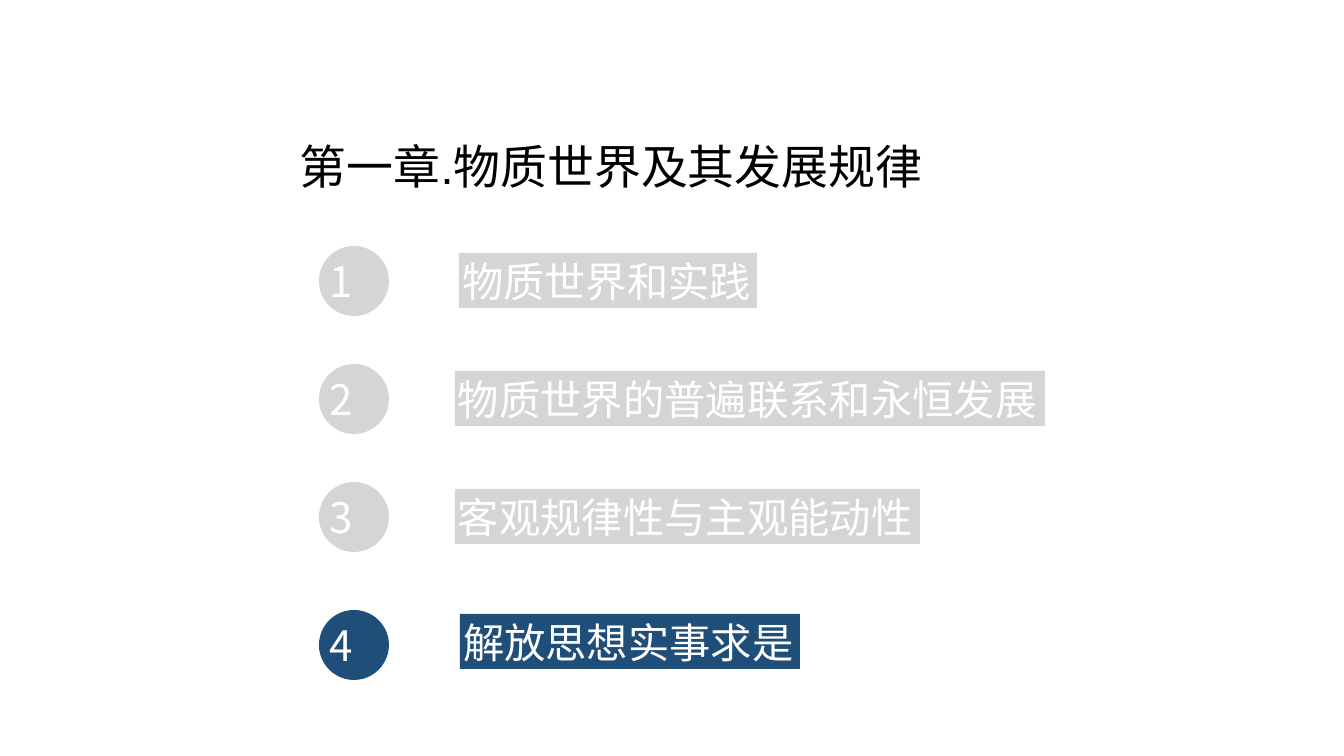
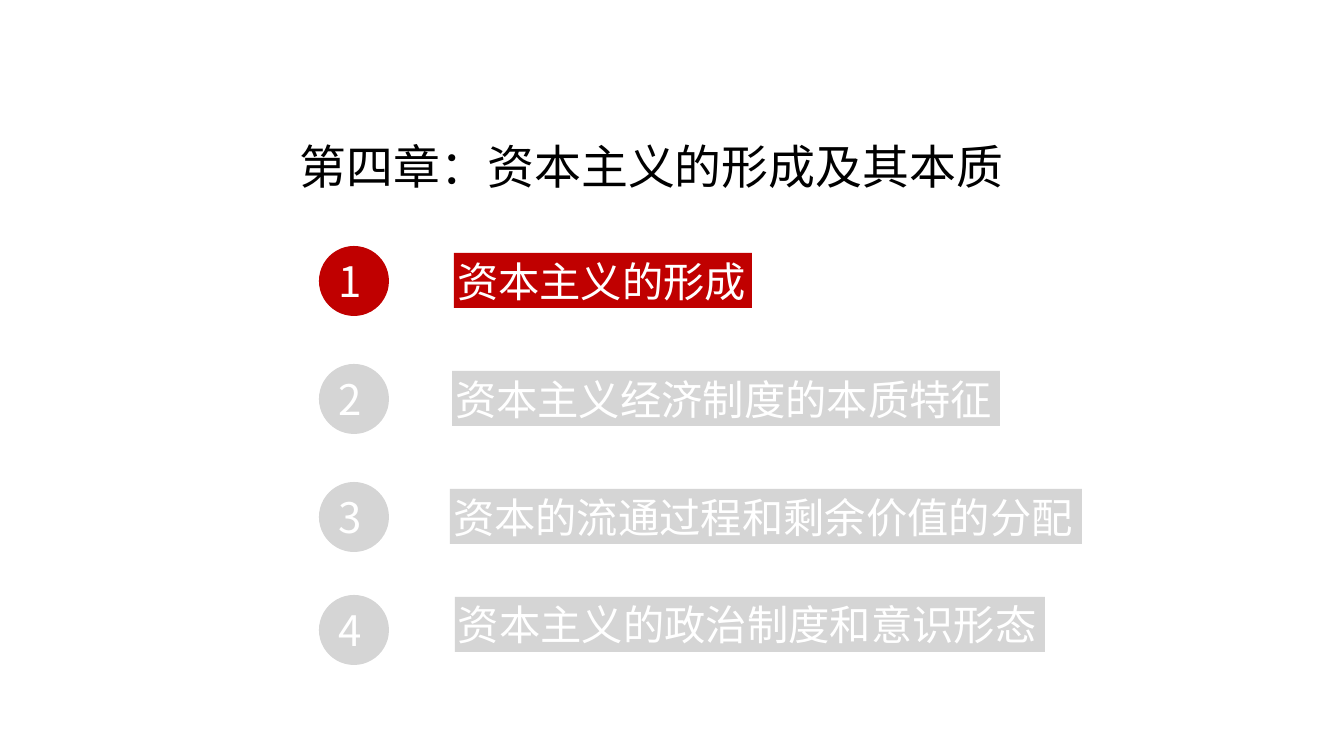
import pptx
import pptx.dml.color
import pptx.enum.shapes
import pptx.enum.text
import pptx.oxml.ns
import pptx.util

SCALE = 914400 / 100.8  # EMU in one px
COLORS = {"text": "000000", "reverse": "FFFFFF", "muted": "D5D5D5",
          "blue": "1F4E79", "red": "C00000"}
CJK_FONT = "Noto Sans CJK SC"
FORMATS = {
    "title": {"size": 33.5, "color": "text", "inset": 3, "spacing": 1.5},
    "label": {"size": 29.5, "color": "reverse", "inset": 3, "spacing": 1},
    "number": {"size": 30, "color": "reverse", "inset": 0, "spacing": 1},
}
SHAPES = pptx.enum.shapes.MSO_SHAPE
AUTO_SIZE = pptx.enum.text.MSO_AUTO_SIZE

CHAPTERS = [
    {
        "title": "第一章.物质世界及其发展规律",
        "title_width": 634,
        "title_font": "Arial",
        "accent": "blue",
        "current": 4,
        "number_indent": 0,
        # label text, circle top, label left, label drop below circle top
        "sections": [
            ("物质世界和实践", 246, 459, 7),
            ("物质世界的普遍联系和永恒发展", 364, 455, 7),
            ("客观规律性与主观能动性", 482, 455, 7),
            ("解放思想实事求是", 610, 460, 4),
        ],
    },
    {
        "title": "第四章：资本主义的形成及其本质",
        "title_width": 716,
        "title_font": CJK_FONT,
        "accent": "red",
        "current": 1,
        "number_indent": 9,
        "sections": [
            ("资本主义的形成", 246, 454, 7),
            ("资本主义经济制度的本质特征", 364, 452, 7),
            ("资本的流通过程和剩余价值的分配", 482, 450, 7),
            ("资本主义的政治制度和意识形态", 595, 455, 2),
        ],
    },
]


def px(length):
    return pptx.util.Emu(round(length * SCALE))


def rgb(name):
    return pptx.dml.color.RGBColor.from_string(COLORS[name])


class Deck:
    """Holds the presentation, its style and the slide being built."""

    def __init__(self):
        self.presentation = pptx.Presentation()
        self.presentation.slide_width = px(1344)
        self.presentation.slide_height = px(756)
        self.slide = None

    def add_slide(self):
        blank = self.presentation.slide_layouts[6]
        self.slide = self.presentation.slides.add_slide(blank)

    def set_text(self, holder, text, style, latin=CJK_FONT, indent=0, fit=AUTO_SIZE.NONE):
        """Put left-aligned, vertically centred text into a shape."""
        look = FORMATS[style]
        inset = px(look["inset"])
        frame = holder.text_frame
        frame_format = {
            "word_wrap": True,
            "auto_size": fit,
            "vertical_anchor": pptx.enum.text.MSO_ANCHOR.MIDDLE,
            "margin_left": px(look["inset"] + indent),
            "margin_top": inset,
            "margin_right": inset,
            "margin_bottom": inset,
        }
        paragraph = frame.paragraphs[0]
        paragraph_format = {"alignment": pptx.enum.text.PP_ALIGN.LEFT,
                            "line_spacing": look["spacing"]}
        run = paragraph.add_run()
        run.text = text
        font_format = {"name": latin, "size": pptx.util.Pt(look["size"])}
        for target, values in ((frame, frame_format), (paragraph, paragraph_format),
                               (run.font, font_format)):
            for key, value in values.items():
                setattr(target, key, value)
        run.font.color.rgb = rgb(look["color"])
        properties = run.font._element
        east_asian = properties.makeelement(
            pptx.oxml.ns.qn("a:ea"), {"typeface": CJK_FONT})
        properties.find(pptx.oxml.ns.qn("a:latin")).addnext(east_asian)

    def title(self, text, width, latin):
        heading = self.slide.shapes.add_textbox(px(297), px(111), px(width), px(82))
        self.set_text(heading, text, "title", latin, fit=AUTO_SIZE.SHAPE_TO_FIT_TEXT)

    def block(self, preset, left, top, width, height, fill):
        block = self.slide.shapes.add_shape(
            preset, px(left), px(top), px(width), px(height))
        block.shadow.inherit = False
        block.fill.solid()
        block.fill.fore_color.rgb = rgb(fill)
        block.line.fill.background()
        return block

    def number(self, number, top, fill, indent):
        circle = self.block(SHAPES.OVAL, 319, top, 70, 70, fill)
        self.set_text(circle, str(number), "number", indent=indent)

    def label(self, text, left, top, fill):
        """Add a filled label whose width follows its character count."""
        width = round(6 + 41.7 * len(text))
        band = self.block(SHAPES.RECTANGLE, left, top, width, 55, fill)
        self.set_text(band, text, "label")

    def chapter(self, chapter):
        self.add_slide()
        self.title(chapter["title"], chapter["title_width"], chapter["title_font"])
        for number, (text, top, left, drop) in enumerate(chapter["sections"], 1):
            fill = chapter["accent"] if number == chapter["current"] else "muted"
            self.number(number, top, fill, chapter["number_indent"])
            self.label(text, left, top + drop, fill)


def main():
    deck = Deck()
    for chapter in CHAPTERS:
        deck.chapter(chapter)
    deck.presentation.save("out.pptx")


if __name__ == "__main__":
    main()
